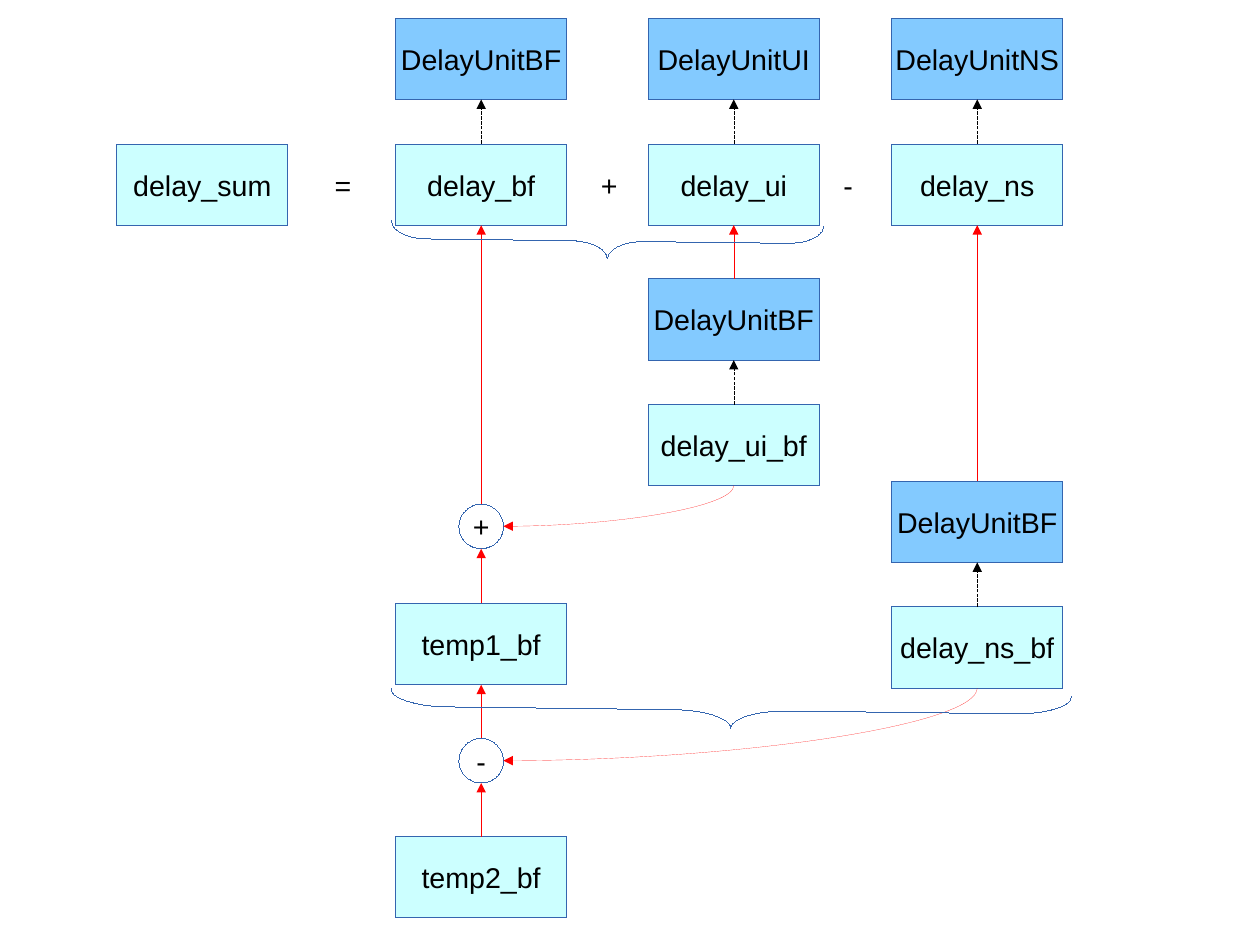
from dataclasses import dataclass

from lxml.etree import SubElement
from pptx import Presentation
from pptx.dml.color import RGBColor
from pptx.enum.dml import MSO_LINE
from pptx.enum.shapes import MSO_CONNECTOR, MSO_SHAPE
from pptx.enum.text import MSO_ANCHOR, MSO_AUTO_SIZE, PP_ALIGN
from pptx.oxml.ns import qn
from pptx.util import Inches, Pt


@dataclass(frozen=True)
class Theme:
    unit: RGBColor = RGBColor(0x83, 0xCA, 0xFF)
    value: RGBColor = RGBColor(0xCC, 0xFF, 0xFF)
    node: RGBColor = RGBColor(0xFF, 0xFF, 0xFF)
    edge: RGBColor = RGBColor(0x34, 0x65, 0xAF)
    ink: RGBColor = RGBColor(0, 0, 0)
    flow: RGBColor = RGBColor(0xFF, 0, 0)
    font: str = "Arial"
    size: int = 18
    hair: float = 0.01  # a zero width would fall back to the style's line


THEME = Theme()
INCH = 2.54  # centimetres; the page measures 28 by 21 cm
WIDE, HIGH = 1.5, 0.71
STEP = 1.1  # from a unit box down to its value box
RING = 0.39
BF, UI, NS = 3.46, 5.67, 7.8  # left edges of the columns


# Text
def write(shape, text, align=PP_ALIGN.CENTER, anchor=MSO_ANCHOR.MIDDLE,
          size=THEME.size, color=THEME.ink):
    frame = shape.text_frame
    frame.word_wrap = False
    frame.vertical_anchor = anchor
    para = frame.paragraphs[0]
    para.alignment = align
    run = para.add_run()
    run.text = text
    run.font.name = THEME.font
    run.font.size = Pt(size)
    run.font.color.rgb = color


def sign(slide, x, text, wide=0.34):
    label = slide.shapes.add_textbox(
        Inches(x), Inches(1.42), Inches(wide), Inches(0.39))
    write(label, text, align=PP_ALIGN.LEFT, anchor=MSO_ANCHOR.TOP)
    label.text_frame.auto_size = MSO_AUTO_SIZE.SHAPE_TO_FIT_TEXT


# Shapes
def draw(slide, kind, x, y, wide, high, fill=None):
    shape = slide.shapes.add_shape(
        kind, Inches(x), Inches(y), Inches(wide), Inches(high))
    shape.shadow.inherit = False
    if fill is None:
        shape.fill.background()
    else:
        shape.fill.solid()
        shape.fill.fore_color.rgb = fill
    shape.line.color.rgb = THEME.edge
    shape.line.width = Pt(THEME.hair)
    return shape


def box(slide, x, y, text, fill=THEME.value):
    shape = draw(slide, MSO_SHAPE.RECTANGLE, x, y, WIDE, HIGH, fill)
    write(shape, text)
    return shape


def ring(slide, y, text):
    x = BF + (WIDE - RING) / 2
    shape = draw(slide, MSO_SHAPE.OVAL, x, y, RING, RING, THEME.node)
    write(shape, text)
    return shape


def brace(slide, x, y, wide, high):
    shape = draw(slide, MSO_SHAPE.LEFT_BRACE, x, y, wide, high)
    shape.rotation = 270.7
    shape.adjustments[0] = high / wide / 12


# Connectors
def style(line, color, end):
    line.line.color.rgb = color
    line.line.width = Pt(THEME.hair)
    props = line._element.spPr
    SubElement(props.find(qn("a:ln")), qn(f"a:{end}"), type="triangle")
    SubElement(props, qn("a:effectLst"))


def link(slide, start, goal, color=THEME.flow, dash=None):
    """Arrow from the top of one shape up to the bottom of another."""
    line = slide.shapes.add_connector(
        MSO_CONNECTOR.STRAIGHT,
        start.left + start.width // 2, start.top,
        goal.left + goal.width // 2, goal.top + goal.height)
    line.begin_connect(start, 0)
    if goal.auto_shape_type == MSO_SHAPE.RECTANGLE:
        line.end_connect(goal, 2)
    if dash:
        line.line.dash_style = dash
    style(line, color, "tailEnd")


def curve(slide, node, start):
    """Quarter curve between a ring's right side and a box's bottom."""
    line = slide.shapes.add_connector(
        MSO_CONNECTOR.CURVE,
        node.left + node.width, node.top + node.height // 2,
        start.left + start.width // 2, start.top + start.height)
    line._element.spPr.find(qn("a:prstGeom")).set("prst", "curvedConnector2")
    style(line, THEME.flow, "headEnd")


def pair(slide, x, y, unit, name):
    """Value box with its unit box above it."""
    top = box(slide, x, y, unit, THEME.unit)
    low = box(slide, x, y + STEP, name)
    link(slide, low, top, THEME.ink, MSO_LINE.SQUARE_DOT)
    return top, low


def main():
    deck = Presentation()
    deck.slide_width = Inches(28 / INCH)
    deck.slide_height = Inches(21 / INCH)
    slide = deck.slides.add_slide(deck.slide_layouts[6])

    # Equation row
    box(slide, 1.02, 0.16 + STEP, "delay_sum")
    bf, ui, ns = [
        pair(slide, x, 0.16, unit, name)[1]
        for x, unit, name in (
            (BF, "DelayUnitBF", "delay_bf"),
            (UI, "DelayUnitUI", "delay_ui"),
            (NS, "DelayUnitNS", "delay_ns"))]
    sign(slide, 2.83, "=")
    sign(slide, 5.16, "+")
    sign(slide, 7.28, "-", wide=0.28)

    # Values converted to the BF unit
    ui_unit, ui_bf = pair(slide, UI, 2.44, "DelayUnitBF", "delay_ui_bf")
    ns_unit, ns_bf = pair(slide, NS, 4.21, "DelayUnitBF", "delay_ns_bf")
    link(slide, ui_unit, ui)
    link(slide, ns_unit, ns)

    # Chain of sums in the BF column
    plus = ring(slide, 4.41, "+")
    temp1 = box(slide, BF, 5.28, "temp1_bf")
    minus = ring(slide, 6.46, "-")
    temp2 = box(slide, BF, 7.32, "temp2_bf")
    chain = [temp2, minus, temp1, plus, bf]
    for start, goal in zip(chain, chain[1:]):
        link(slide, start, goal)
    curve(slide, plus, ui_bf)
    curve(slide, minus, ns_bf)

    # Braces under the joined terms
    brace(slide, 5.16, 0.22, 0.31, 3.78)
    brace(slide, 6.24, 3.24, 0.31, 5.95)

    deck.save("out.pptx")


if __name__ == "__main__":
    main()
